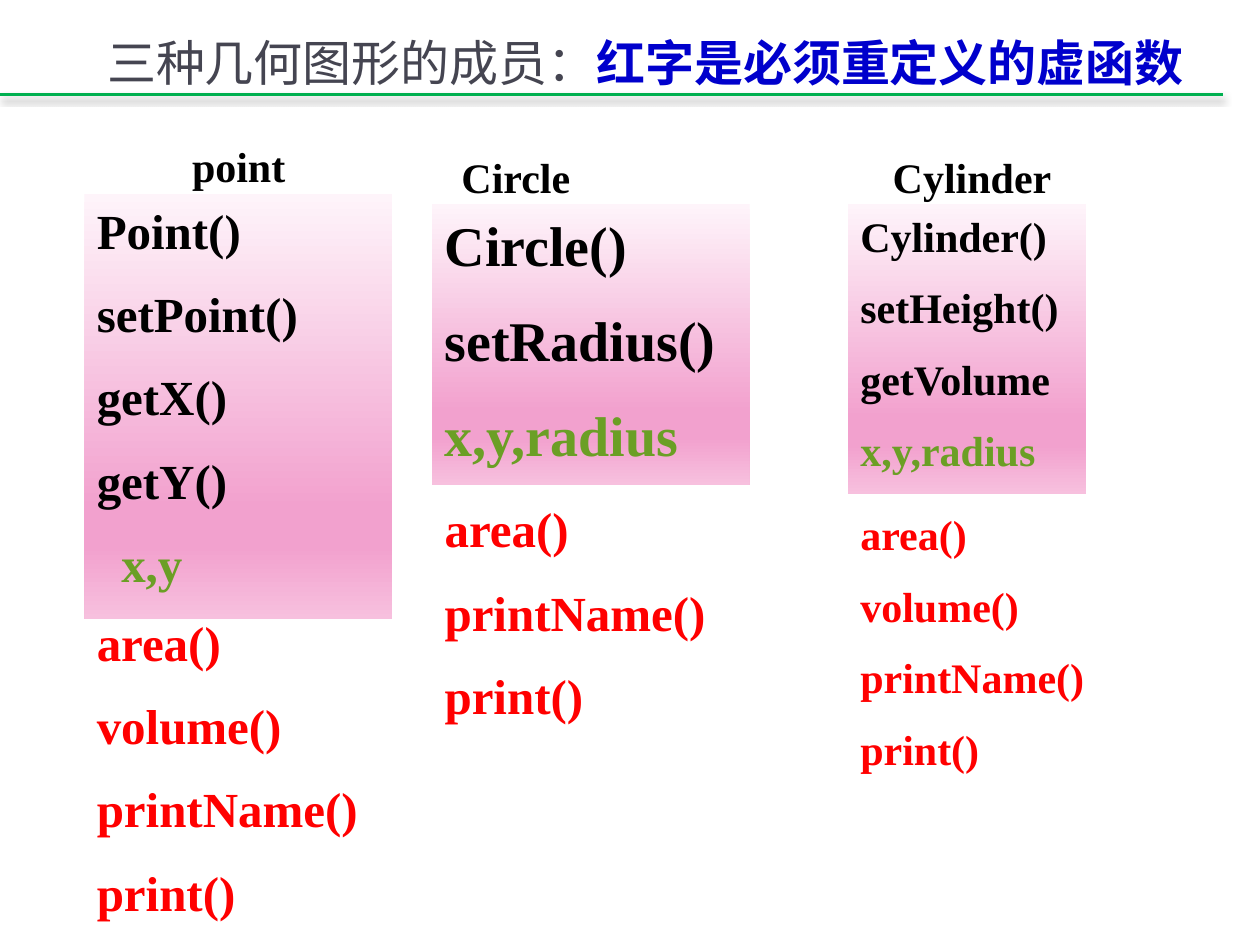
from dataclasses import dataclass

from pptx import Presentation
from pptx.dml.color import RGBColor
from pptx.enum.shapes import MSO_CONNECTOR, MSO_SHAPE
from pptx.enum.text import MSO_ANCHOR, MSO_AUTO_SIZE, PP_ALIGN
from pptx.oxml import parse_xml
from pptx.oxml.ns import nsdecls, qn
from pptx.util import Inches, Pt

RECT = MSO_SHAPE.RECTANGLE
STRAIGHT = MSO_CONNECTOR.STRAIGHT
TOP, MIDDLE = MSO_ANCHOR.TOP, MSO_ANCHOR.MIDDLE
LEFT, CENTER = PP_ALIGN.LEFT, PP_ALIGN.CENTER
GROW, FIXED = MSO_AUTO_SIZE.SHAPE_TO_FIT_TEXT, MSO_AUTO_SIZE.NONE

COLORS = {
    "rule": "00B050", "title": "454551", "emphasis": "0000CC",
    "own": "000000", "data": "6B9F25", "virtual": "FF0000", "paper": "FFFFFF",
}
PINK_STOPS = ((0, "FEF4FA"), (74, "F2A1CE"), (83, "F2A1CE"), (100, "F7C0DE"))
CODE_FONT = "Times New Roman"
HEADING_SIZE = 24
HEADING_WIDTH, HEADING_HEIGHT = 1.97, 0.5
HEADING_OVERLAP = 0.47


@dataclass(frozen=True)
class Box:
    left: float
    top: float
    width: float
    height: float

    def emu(self) -> list:
        return [Inches(n) for n in (self.left, self.top, self.width, self.height)]


@dataclass(frozen=True)
class ClassColumn:
    name: str
    heading_left: float
    own_box: Box
    own: tuple
    own_size: int
    data: str
    virtual_box: Box
    virtual: tuple
    virtual_size: int
    data_indent: int = 0


COLUMNS = (
    ClassColumn("point", 0.91,
                Box(0.67, 1.54, 2.44, 3.37),
                ("Point()", "setPoint()", "getX()", "getY()"), 28, "x,y",
                Box(0.67, 4.81, 2.76, 2.69),
                ("area()", "volume()", "printName()", "print()"), 28,
                data_indent=14),
    ClassColumn("Circle", 3.11,
                Box(3.43, 1.62, 2.52, 2.23),
                ("Circle()", "setRadius()"), 32, "x,y,radius",
                Box(3.43, 3.91, 2.52, 1.97),
                ("area()", "printName()", "print()"), 28),
    ClassColumn("Cylinder", 6.73,
                Box(6.73, 1.62, 1.89, 2.3),
                ("Cylinder()", "setHeight()", "getVolume"), 24, "x,y,radius",
                Box(6.73, 3.99, 2.36, 2.32),
                ("area()", "volume()", "printName()", "print()"), 24),
)


def add_run(paragraph, text: str, color: str, **font_format) -> None:
    run = paragraph.add_run()
    run.text = text
    run.font.color.rgb = RGBColor.from_string(COLORS[color])
    for attribute, value in font_format.items():
        setattr(run.font, attribute, value)


def write_members(shape, members: list, size: int, align=LEFT, last_indent: int = 0) -> None:
    """Write (text, colour) pairs as paragraphs spaced by half a line."""
    frame = shape.text_frame
    for attribute, value in {"word_wrap": True, "auto_size": GROW,
                             "vertical_anchor": TOP}.items():
        setattr(frame, attribute, value)
    for index, (text, color) in enumerate(members):
        paragraph = frame.add_paragraph() if index else frame.paragraphs[0]
        paragraph.alignment = align
        properties = paragraph._p.get_or_add_pPr()
        properties.append(parse_xml(
            f'<a:spcBef {nsdecls("a")}><a:spcPct val="50000"/></a:spcBef>'))
        if last_indent and index == len(members) - 1:
            properties.set("marL", str(Pt(last_indent)))
        add_run(paragraph, text, color, name=CODE_FONT, size=Pt(size), bold=True)


def add_panel(slide, box: Box):
    panel = slide.shapes.add_shape(RECT, *box.emu())
    panel.shadow.inherit = False
    panel.line.fill.background()
    return panel


def fill_pink(panel) -> None:
    panel.fill.gradient()
    panel.fill.gradient_angle = 270
    stops = panel._element.spPr.find(".//" + qn("a:gsLst"))
    for stop in list(stops):
        stops.remove(stop)
    for percent, color in PINK_STOPS:
        stops.append(parse_xml(
            f'<a:gs {nsdecls("a")} pos="{percent * 1000}">'
            f'<a:srgbClr val="{color}"/></a:gs>'))


def add_column(slide, column: ClassColumn) -> None:
    virtual_panel = add_panel(slide, column.virtual_box)
    virtual_panel.fill.solid()
    virtual_panel.fill.fore_color.rgb = RGBColor.from_string(COLORS["paper"])
    write_members(virtual_panel, [(text, "virtual") for text in column.virtual],
                  column.virtual_size)

    heading_box = Box(column.heading_left, column.own_box.top - HEADING_OVERLAP,
                      HEADING_WIDTH, HEADING_HEIGHT)
    heading = slide.shapes.add_textbox(*heading_box.emu())
    write_members(heading, [(column.name, "own")], HEADING_SIZE, CENTER)

    own_panel = add_panel(slide, column.own_box)
    fill_pink(own_panel)
    members = [(text, "own") for text in column.own] + [(column.data, "data")]
    write_members(own_panel, members, column.own_size, last_indent=column.data_indent)


def add_title_rule(slide) -> None:
    y = Inches(0.75)
    rule = slide.shapes.add_connector(STRAIGHT, 0, y, Inches(9.71), y)
    rule.line.color.rgb = RGBColor.from_string(COLORS["rule"])
    rule.line.width = Pt(1.25)
    rule._element.spPr.append(parse_xml(
        f'<a:effectLst {nsdecls("a")}>'
        f'<a:outerShdw blurRad="{Pt(4)}" dist="{Pt(2.5)}" dir="5400000" rotWithShape="0">'
        '<a:srgbClr val="000000"><a:alpha val="47000"/></a:srgbClr>'
        '</a:outerShdw></a:effectLst>'))


def fill_title(slide) -> None:
    title = slide.shapes.title
    title.left, title.top, title.width, title.height = Box(0.75, 0, 8.98, 0.99).emu()
    frame = title.text_frame
    for attribute, value in {"word_wrap": True, "auto_size": FIXED,
                             "vertical_anchor": MIDDLE}.items():
        setattr(frame, attribute, value)
    line = frame.paragraphs[0]
    line.alignment = LEFT
    for text, color, bold in (("三种几何图形的成员：", "title", False),
                              ("红字是必须重定义的虚函数", "emphasis", True)):
        add_run(line, text, color, name="Arial", size=Pt(28), bold=bold)


def main() -> None:
    deck = Presentation()
    deck.slide_width, deck.slide_height = Inches(10), Inches(7.5)
    slide = deck.slides.add_slide(deck.slide_layouts.get_by_name("Title Only"))
    add_title_rule(slide)
    fill_title(slide)
    for column in COLUMNS:
        add_column(slide, column)
    deck.save("out.pptx")


if __name__ == "__main__":
    main()
